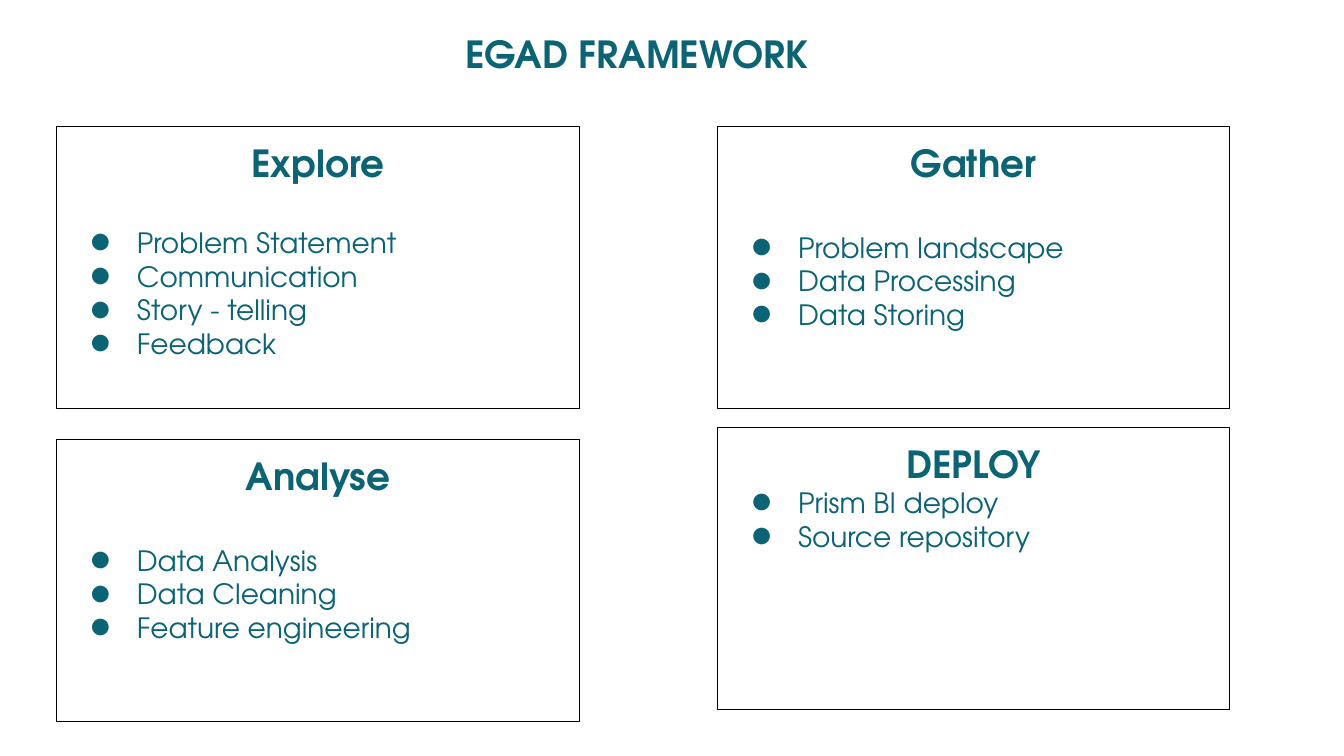
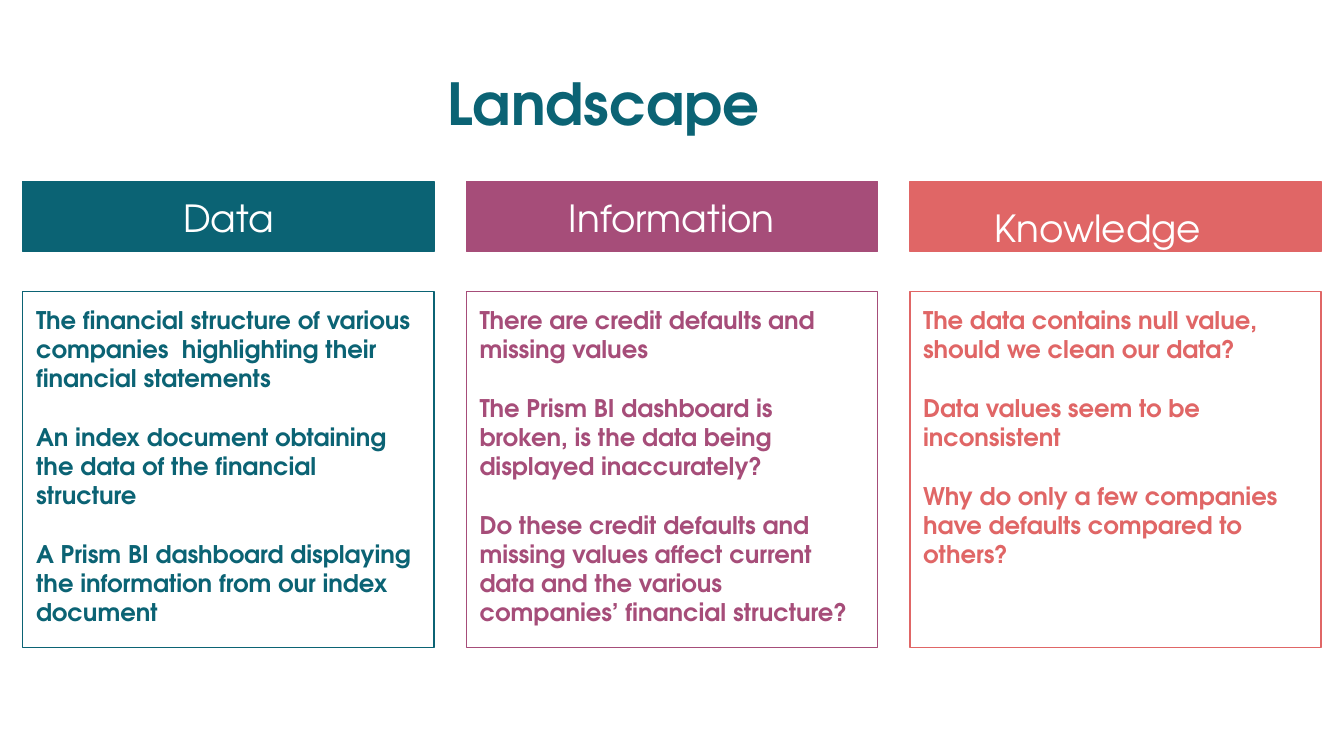
from dataclasses import dataclass

from lxml.etree import SubElement
from pptx import Presentation
from pptx.dml.color import RGBColor
from pptx.enum.shapes import MSO_SHAPE
from pptx.enum.text import MSO_ANCHOR, MSO_AUTO_SIZE, PP_ALIGN
from pptx.oxml.ns import qn
from pptx.util import Inches, Pt

FONT = "TeX Gyre Adventor"
COLORS = {
    "teal": "0B6374",
    "plum": "A64D79",
    "coral": "E06666",
    "black": "000000",
    "white": "FFFFFF",
}
INSET = 0.1


@dataclass(frozen=True)
class Area:
    left: float
    top: float
    width: float
    height: float

    def lengths(self) -> list[Inches]:
        return [Inches(n) for n in (self.left, self.top, self.width, self.height)]


@dataclass(frozen=True)
class Stage:
    heading: str
    items: tuple[str, ...]
    area: Area
    gap: float


@dataclass(frozen=True)
class Column:
    heading: str
    color: str
    notes: tuple[str, ...]
    drop: float = 0
    shift: float = 0


LEFT, RIGHT = (0.42, 3.89), (5.34, 3.81)


def stage_area(side: tuple[float, float], top: float) -> Area:
    return Area(side[0], top, side[1], 2.1)


STAGES = (
    Stage("Explore",
          ("Problem Statement", "Communication", "Story - telling", "Feedback"),
          stage_area(LEFT, 0.94), 22),
    Stage("Gather",
          ("Problem landscape", "Data Processing", "Data Storing"),
          stage_area(RIGHT, 0.94), 24.5),
    Stage("Analyse",
          ("Data Analysis", "Data Cleaning", "Feature engineering"),
          stage_area(LEFT, 3.27), 24.5),
    Stage("DEPLOY",
          ("Prism BI deploy", "Source repository"),
          stage_area(RIGHT, 3.18), 0),
)

COLUMNS = (
    Column("Data", "teal", (
        "The financial structure of various companies  highlighting their financial statements",
        "An index document obtaining the data of the financial structure",
        "A Prism BI dashboard displaying the information from our index document",
    )),
    Column("Information", "plum", (
        "There are credit defaults and missing values",
        "The Prism BI dashboard is broken, is the data being displayed inaccurately?",
        "Do these credit defaults and missing values affect current data and the various "
        "companies’ financial structure?",
    )),
    Column("Knowledge", "coral", (
        "The data contains null value, should we clean our data?",
        "Data values seem to be inconsistent",
        "Why do only a few companies have defaults compared to others?",
    ), drop=0.08, shift=0.26),
)


def rgb(name: str) -> RGBColor:
    return RGBColor.from_string(COLORS[name])


def prepare_frame(frame) -> None:
    frame.word_wrap = True
    frame.auto_size = MSO_AUTO_SIZE.NONE
    frame.vertical_anchor = MSO_ANCHOR.TOP
    frame.margin_left = frame.margin_right = Inches(INSET)
    frame.margin_top = frame.margin_bottom = Inches(INSET)


def write(para, text: str, size: float, color: str, bold: bool = False,
          align=PP_ALIGN.LEFT, gap: float = 0) -> None:
    para.text = text
    para.alignment = align
    para.space_before = Pt(0)
    para.space_after = Pt(gap)
    para.font.name = FONT
    para.font.size = Pt(size)
    para.font.bold = bold
    para.font.color.rgb = rgb(color)


def add_bullet(para, color: str) -> None:
    props = para._p.get_or_add_pPr()
    props.set("marL", str(Inches(0.5)))
    props.set("indent", str(Inches(-0.35)))
    tint = SubElement(props, qn("a:buClr"))
    SubElement(tint, qn("a:srgbClr"), val=COLORS[color])
    SubElement(props, qn("a:buFont"), typeface=FONT)
    SubElement(props, qn("a:buChar"), char="●")


def add_page(deck, title: str, area: Area, size: float, align):
    page = deck.slides.add_slide(deck.slide_layouts[5])
    heading = page.shapes.title
    heading.left, heading.top, heading.width, heading.height = area.lengths()
    prepare_frame(heading.text_frame)
    write(heading.text_frame.paragraphs[0], title, size, "teal", True, align)
    return page


def add_box(page, area: Area, line: str, fill: str | None = None):
    box = page.shapes.add_shape(MSO_SHAPE.RECTANGLE, *area.lengths())
    box.shadow.inherit = False
    box.line.color.rgb = rgb(line)
    box.line.width = Pt(0.75)
    if fill:
        box.fill.solid()
        box.fill.fore_color.rgb = rgb(fill)
    else:
        box.fill.background()
    prepare_frame(box.text_frame)
    return box.text_frame


def add_stage(page, stage: Stage) -> None:
    frame = add_box(page, stage.area, "black")
    write(frame.paragraphs[0], stage.heading, 20, "teal", True, PP_ALIGN.CENTER, stage.gap)
    for item in stage.items:
        para = frame.add_paragraph()
        write(para, item, 15, "teal")
        add_bullet(para, "teal")


def add_column(page, column: Column, left: float) -> None:
    band = add_box(page, Area(left, 1.35, 3.06, 0.52), column.color, column.color)
    band.margin_top = Inches(INSET + column.drop)
    band.margin_right = Inches(INSET + column.shift)
    band.margin_bottom = Inches(0)
    write(band.paragraphs[0], column.heading, 20, "white", align=PP_ALIGN.CENTER)

    body = add_box(page, Area(left, 2.17, 3.06, 2.65), column.color)
    for index, note in enumerate(column.notes):
        para = body.add_paragraph() if index else body.paragraphs[0]
        gap = 15.9 if index < len(column.notes) - 1 else 0
        write(para, note, 13, column.color, True, gap=gap)


def main() -> None:
    deck = Presentation()
    deck.slide_width = Inches(10)
    deck.slide_height = deck.slide_width * 9 // 16

    framework = add_page(deck, "EGAD FRAMEWORK", Area(2.41, 0.13, 4.66, 0.67),
                         20, PP_ALIGN.CENTER)
    for stage in STAGES:
        add_stage(framework, stage)

    landscape = add_page(deck, "Landscape", Area(3.23, 0.4, 2.6, 0.65),
                         31, PP_ALIGN.LEFT)
    for index, column in enumerate(COLUMNS):
        add_column(landscape, column, 0.17 + 3.3 * index)

    deck.save("out.pptx")


if __name__ == "__main__":
    main()
